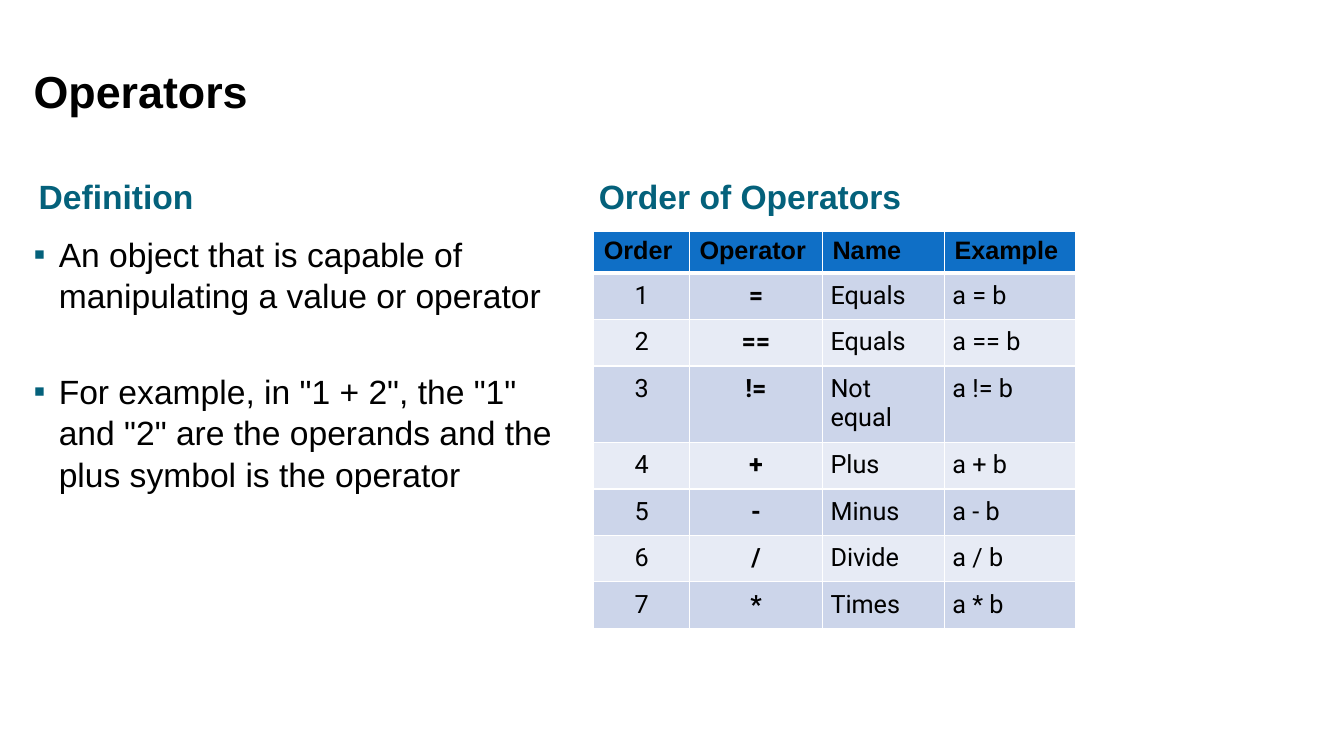
import pptx
import pptx.util
import pptx.dml.color
import pptx.enum.text
import pptx.oxml
import pptx.oxml.ns

COLORS = {"text": "000000", "accent": "04617B", "header": "0F6FC6",
          "odd": "CCD5EA", "even": "E7EBF5", "border": "FFFFFF"}
WIDTH, HEIGHT = 13.33, 7.5
COL, ROW = WIDTH / 40, HEIGHT / 45  # layout grid of 40 columns by 45 rows
LEFT, CENTER = pptx.enum.text.PP_ALIGN.LEFT, pptx.enum.text.PP_ALIGN.CENTER
TOP, MIDDLE, BOTTOM = (pptx.enum.text.MSO_ANCHOR.TOP, pptx.enum.text.MSO_ANCHOR.MIDDLE,
                       pptx.enum.text.MSO_ANCHOR.BOTTOM)

DEFINITION = [
    "An object that is capable of manipulating a value or operator",
    'For example, in "1 + 2", the "1" and "2" are the operands and the plus symbol is the operator',
]
HEADERS = ["Order", "Operator", "Name", "Example"]
OPERATORS = [("=", "Equals"), ("==", "Equals"), ("!=", "Not equal"), ("+", "Plus"),
             ("-", "Minus"), ("/", "Divide"), ("*", "Times")]
TABLE_COLS = [2.85, 3.96, 3.63, 3.9]
TABLE_ROW = 2.46


def cols(n):
    return pptx.util.Inches(n * COL)


def rows(n):
    return pptx.util.Inches(n * ROW)


def rgb(name):
    return pptx.dml.color.RGBColor.from_string(COLORS[name])


def xml(tag, body="", **attrs):
    attr_text = "".join(f' {k}="{v}"' for k, v in attrs.items())
    return pptx.oxml.parse_xml(
        f'<a:{tag} {pptx.oxml.ns.nsdecls("a")}{attr_text}>{body}</a:{tag}>')


def color_xml(name):
    return f'<a:srgbClr val="{COLORS[name]}"/>'


def write(p, text, size=24, font="Arial", color="text", bold=False, align=LEFT):
    p.alignment = align
    r = p.add_run()
    r.text = text
    r.font.size = pptx.util.Pt(size)
    r.font.name = font
    r.font.bold = bold
    r.font.color.rgb = rgb(color)


def add_frame(s, box, insets=(0, 0, 0, 0), anchor=TOP):
    x, y, w, h = box
    tf = s.shapes.add_textbox(cols(x), rows(y), cols(w), rows(h)).text_frame
    tf.word_wrap = True
    tf.vertical_anchor = anchor
    tf.margin_left, tf.margin_top, tf.margin_right, tf.margin_bottom = map(
        pptx.util.Inches, insets)
    return tf


def add_title(s, box, text):
    tf = add_frame(s, box, (0, 0.05, 0, 0), BOTTOM)
    write(tf.paragraphs[0], text, size=32, bold=True)


def add_heading(s, box, text):
    tf = add_frame(s, box, (0.05, 0, 0.05, 0), MIDDLE)
    write(tf.paragraphs[0], text, color="accent", bold=True)


def add_bullets(s, box, items):
    tf = add_frame(s, box)
    for i, item in enumerate(items):
        p = tf.add_paragraph() if i else tf.paragraphs[0]
        pPr = p._p.get_or_add_pPr()
        indent = pptx.util.Inches(0.25)
        pPr.set("marL", str(indent))
        pPr.set("indent", str(-indent))
        pPr.append(xml("buClr", color_xml("accent")))
        pPr.append(xml("buFont", typeface="Arial"))
        pPr.append(xml("buChar", char="▪"))
        p.line_spacing = 1.04
        if i:
            p.space_before = pptx.util.Pt(38)
        write(p, item)


def style_cell(cell, fill, **widths):
    """Fill the cell and draw its borders; widths gives points for sides L, R, T, B."""
    cell.fill.solid()
    cell.fill.fore_color.rgb = rgb(fill)
    tcPr = cell._tc.get_or_add_tcPr()
    for i, side in enumerate("LRTB"):
        line = xml("ln" + side, f"<a:solidFill>{color_xml('border')}</a:solidFill>",
                   w=pptx.util.Pt(widths.get(side, 1)))
        tcPr.insert(i, line)


def add_operator_table(s, x, y):
    count = len(OPERATORS) + 1
    table = s.shapes.add_table(count, len(HEADERS), cols(x), rows(y),
                               cols(sum(TABLE_COLS)), rows(TABLE_ROW * count)).table
    for column, width in zip(table.columns, TABLE_COLS):
        column.width = cols(width)
    for row in table.rows:
        row.height = rows(TABLE_ROW)
    for cell, text in zip(table.rows[0].cells, HEADERS):
        style_cell(cell, "header", B=3)
        write(cell.text_frame.paragraphs[0], text, size=18, bold=True)
    for i, (operator, name) in enumerate(OPERATORS, 1):
        values = [str(i), operator, name, f"a {operator} b"]
        for j, (cell, text) in enumerate(zip(table.rows[i].cells, values)):
            style_cell(cell, "odd" if i % 2 else "even", T=3 if i == 1 else 1)
            cell.margin_left = cell.margin_right = pptx.util.Inches(0.08)
            cell.margin_top = cell.margin_bottom = pptx.util.Inches(0.08)
            write(cell.text_frame.paragraphs[0], text, size=18, font="Roboto",
                  bold=j == 1, align=CENTER if j < 2 else LEFT)


def main():
    prs = pptx.Presentation()
    prs.slide_width = pptx.util.Inches(WIDTH)
    prs.slide_height = pptx.util.Inches(HEIGHT)
    s = prs.slides.add_slide(prs.slide_layouts[6])
    left, right, width = 1, 17.67, 16
    add_title(s, (left, 1, 33, 6), "Operators")
    add_heading(s, (left, 9.5, width, 4.3), "Definition")
    add_heading(s, (right, 9.5, width, 4.3), "Order of Operators")
    add_bullets(s, (left, 13.8, width, 25.2), DEFINITION)
    add_operator_table(s, right, 13.8)
    prs.save("out.pptx")


if __name__ == "__main__":
    main()
